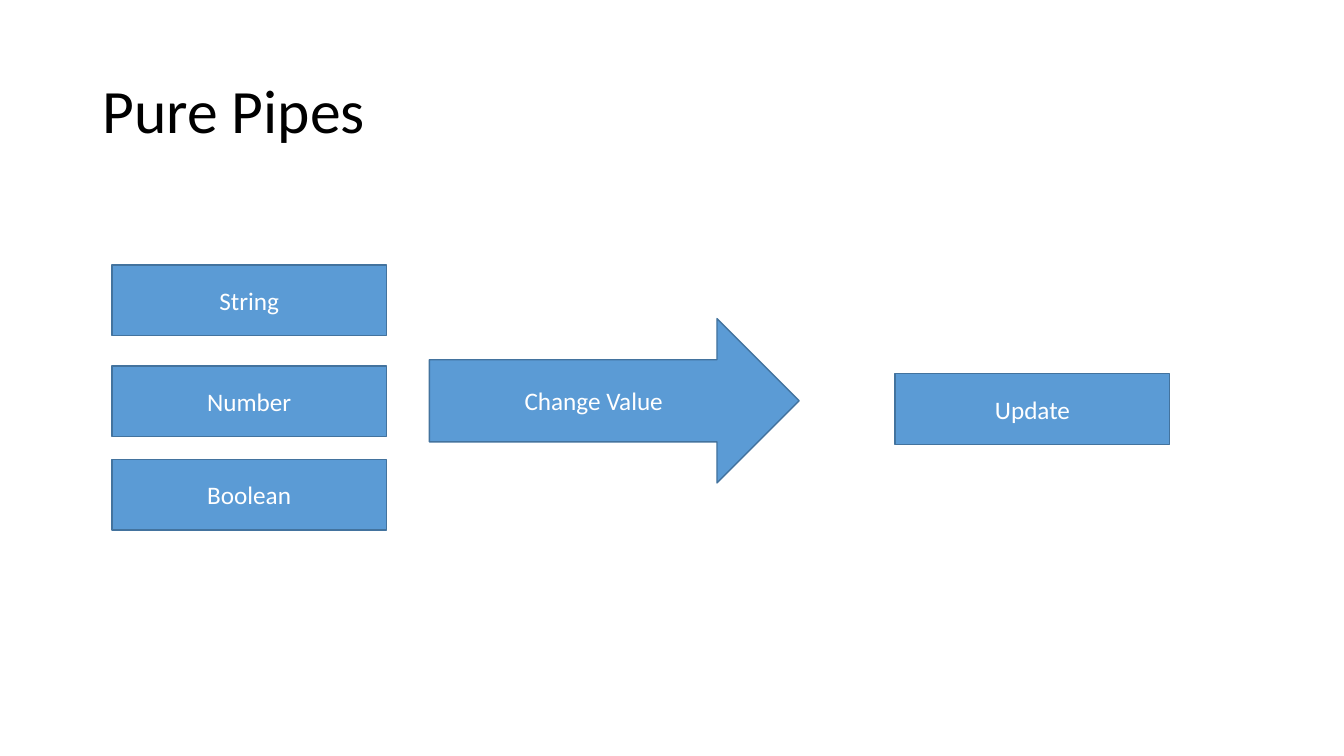
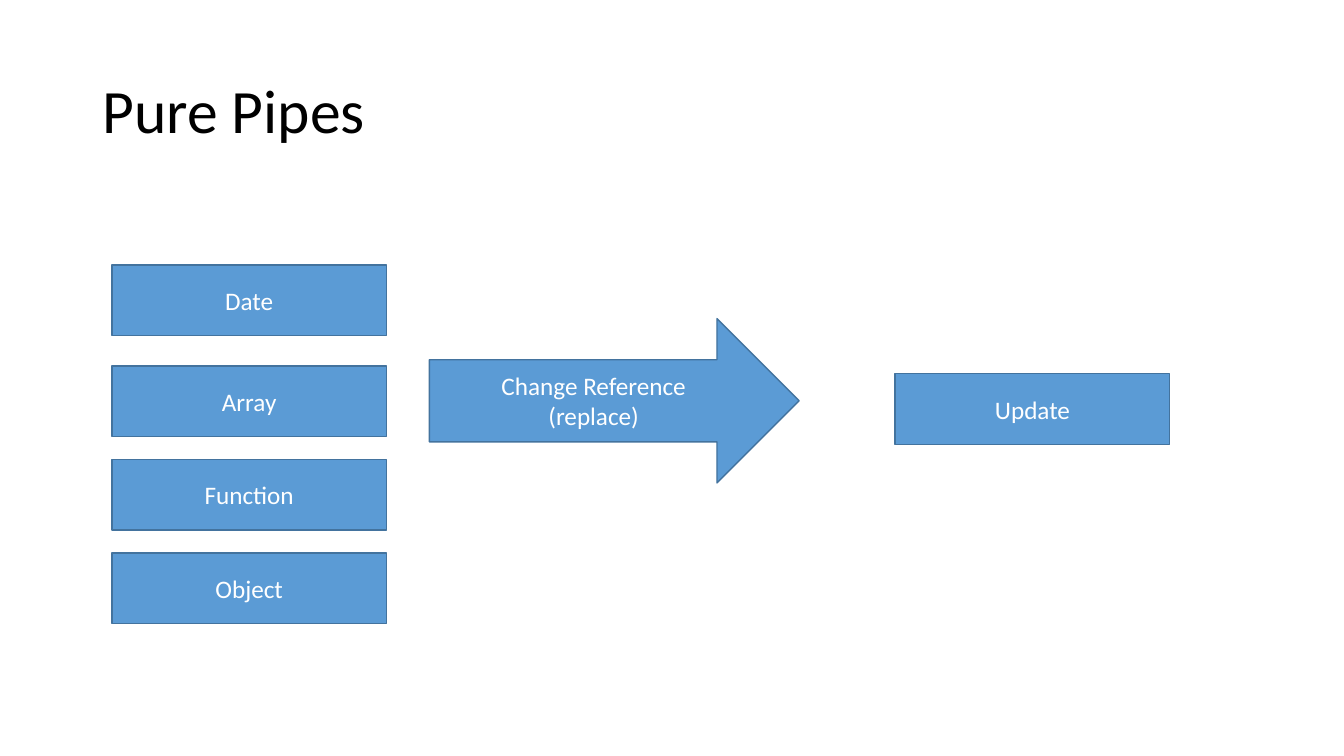
from pptx import Presentation
from pptx.dml.color import RGBColor
from pptx.enum.shapes import MSO_SHAPE
from pptx.enum.text import MSO_ANCHOR, PP_ALIGN
from pptx.util import Cm, Pt

RECT, ARROW = MSO_SHAPE.RECTANGLE, MSO_SHAPE.RIGHT_ARROW
LEFT, CENTER = PP_ALIGN.LEFT, PP_ALIGN.CENTER
MIDDLE = MSO_ANCHOR.MIDDLE
TITLE_ONLY = 5

FONT = "Calibri"
BLACK, WHITE, BLUE, DARK_BLUE = "000000", "FFFFFF", "5B9BD5", "43739E"

SLIDES = [
    {"title": "Pure Pipes",
     "types": ["String", "Number", "Boolean"],
     "change": "Change Value",
     "result": "Update"},
    {"title": "Pure Pipes",
     "types": ["Date", "Array", "Function", "Object"],
     "change": "Change Reference\n(replace)",
     "result": "Update"},
]

# Lengths in centimetres
TITLE_BOX = (2.33, 1.01, 29.21, 3.68)
BOX_SIZE = (6.92, 1.78)
TYPE_LEFT = 2.82
TYPE_TOPS = (6.68, 9.22, 11.58, 13.94)
ARROW_BOX = (10.82, 8.03, 9.32, 4.14)
RESULT_POS = (22.56, 9.42)


def color(value):
    return RGBColor.from_string(value)


def set_text(sp, text, size=18, ink=WHITE, align=CENTER, spacing=1.0):
    tf = sp.text_frame
    tf.word_wrap = True
    tf.vertical_anchor = MIDDLE
    p = tf.paragraphs[0]
    p.text = text
    p.alignment = align
    p.line_spacing = spacing
    for r in p.runs:
        r.font.name = FONT
        r.font.size = Pt(size)
        r.font.color.rgb = color(ink)


def add_title(s, text):
    sp = s.shapes.title
    sp.left, sp.top, sp.width, sp.height = map(Cm, TITLE_BOX)
    set_text(sp, text, size=44, ink=BLACK, align=LEFT, spacing=0.9)


def add_block(s, kind, box, text):
    sp = s.shapes.add_shape(kind, *map(Cm, box))
    sp.shadow.inherit = False
    sp.fill.solid()
    sp.fill.fore_color.rgb = color(BLUE)
    sp.line.color.rgb = color(DARK_BLUE)
    sp.line.width = Pt(1)
    set_text(sp, text)


def add_pipe_slide(prs, content):
    s = prs.slides.add_slide(prs.slide_layouts[TITLE_ONLY])
    add_title(s, content["title"])
    for top, name in zip(TYPE_TOPS, content["types"]):
        add_block(s, RECT, (TYPE_LEFT, top, *BOX_SIZE), name)
    add_block(s, ARROW, ARROW_BOX, content["change"])
    add_block(s, RECT, (*RESULT_POS, *BOX_SIZE), content["result"])


def main():
    prs = Presentation()
    prs.slide_width, prs.slide_height = Cm(33.87), Cm(19.05)
    for content in SLIDES:
        add_pipe_slide(prs, content)
    prs.save("out.pptx")


if __name__ == "__main__":
    main()
